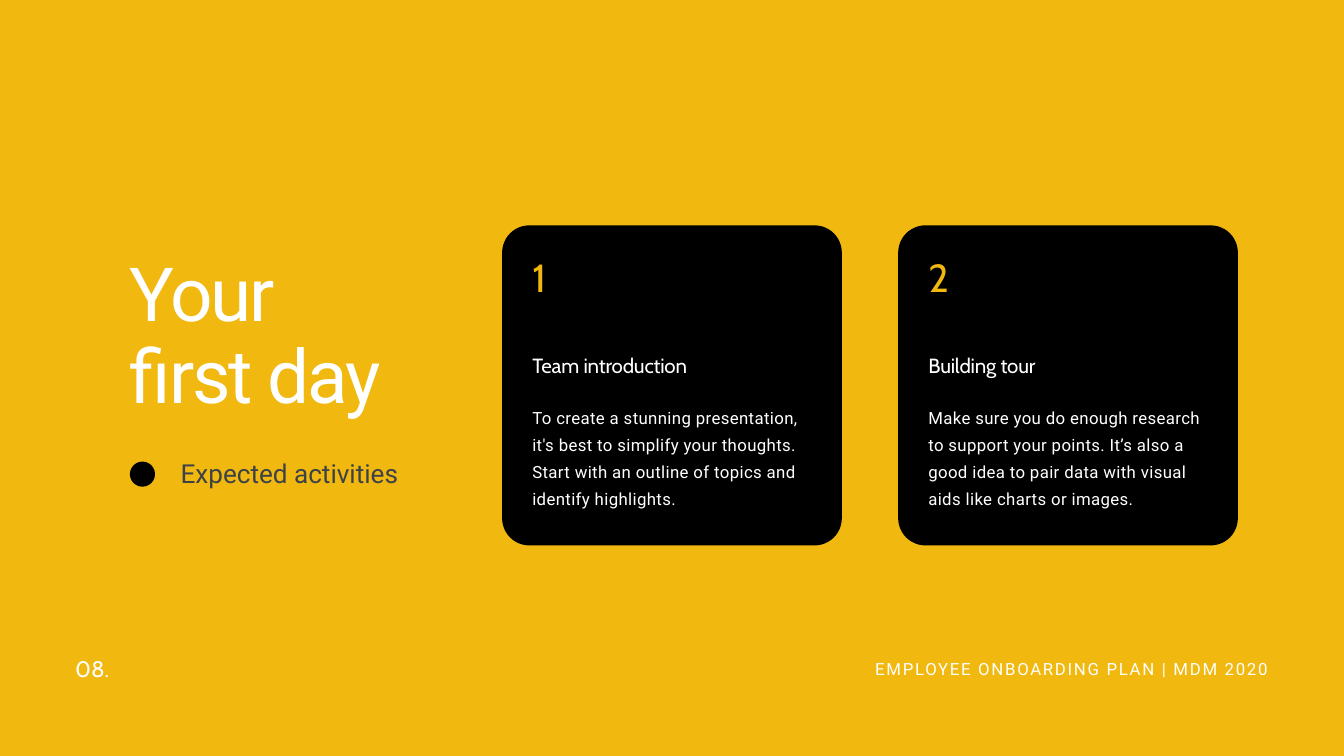
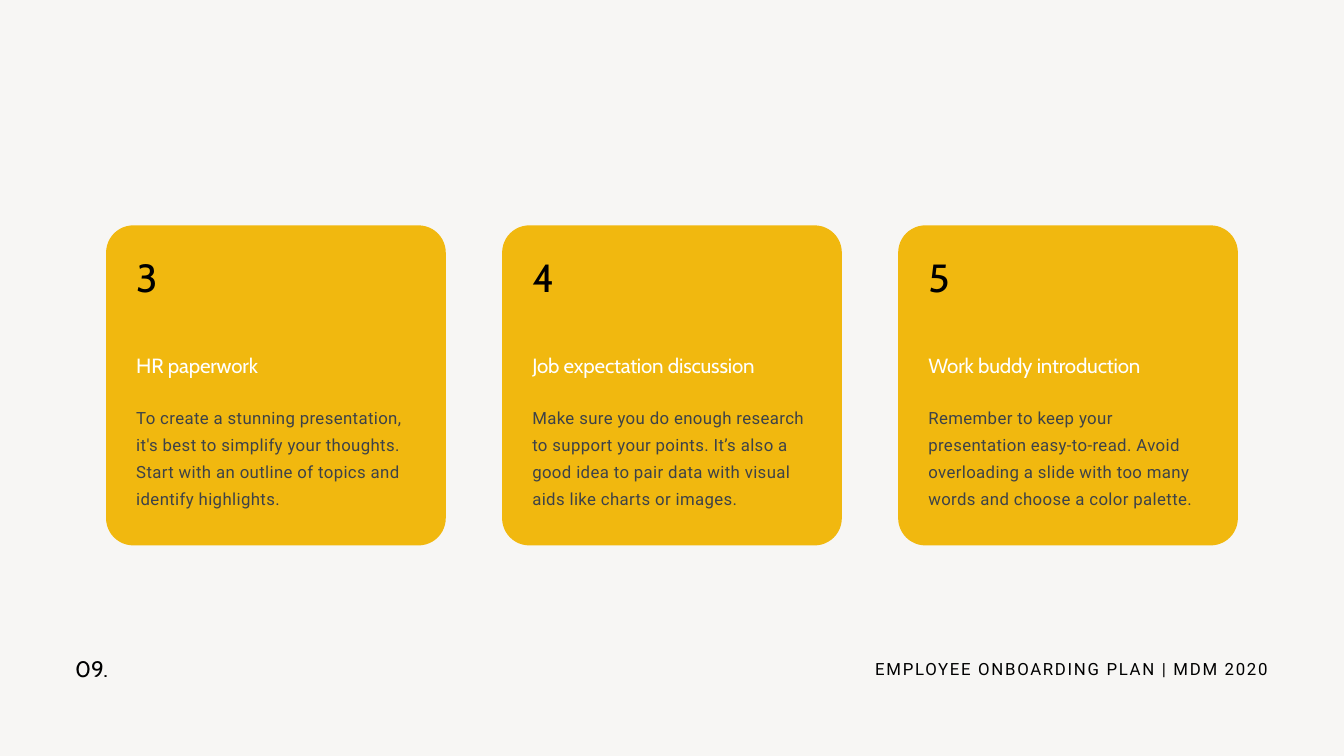
from pptx import Presentation
from pptx.dml.color import RGBColor
from pptx.enum.shapes import MSO_SHAPE as SHAPE
from pptx.enum.text import MSO_AUTO_SIZE as AUTO, PP_ALIGN as ALIGN
from pptx.util import Cm, Pt

COLORS = {
    "yellow": "F1B80F",
    "paper": "F7F6F4",
    "black": "000000",
    "white": "FFFFFF",
    "slate": "3D4248",
}
HEAD_FONT, BODY_FONT = "Cabin", "Roboto"
FOOTER = "EMPLOYEE ONBOARDING PLAN | MDM 2020"

SIMPLIFY = (
    "To create a stunning presentation, it's best to simplify your thoughts. "
    "Start with an outline of topics and identify highlights."
)
RESEARCH = (
    "Make sure you do enough research to support your points. It’s also a "
    "good idea to pair data with visual aids like charts or images."
)
READABLE = (
    "Remember to keep your presentation easy-to-read. Avoid overloading a "
    "slide with too many words and choose a color palette."
)

SLIDES = [
    {
        "page": "08.",
        "title": ["Your", "first day"],
        "subtitle": "Expected activities",
        "first_column": 1,
        "cards": [
            ("1", "Team introduction", SIMPLIFY),
            ("2", "Building tour", RESEARCH),
        ],
        "colors": {"back": "yellow", "card": "black", "number": "yellow",
                   "body": "white", "footer": "white"},
    },
    {
        "page": "09.",
        "first_column": 0,
        "cards": [
            ("3", "HR paperwork", SIMPLIFY),
            ("4", "Job expectation discussion", RESEARCH),
            ("5", "Work buddy introduction", READABLE),
        ],
        "colors": {"back": "paper", "card": "yellow", "number": "black",
                   "body": "slate", "footer": "black"},
    },
]

CARD_LEFT, CARD_TOP, CARD_W, CARD_H = 4.01, 8.52, 12.84, 12.1
CARD_PITCH, CARD_PAD = 14.97, 1.14
CARD_RADIUS = 1.03
TITLE_LEFT = 4.91


def rgb(name):
    return RGBColor.from_string(COLORS[name])


def add_text(shapes, lines, left, top, width, height, *, size, leading,
             color, font=BODY_FONT, spacing=0, align=ALIGN.LEFT):
    sp = shapes.add_textbox(Cm(left), Cm(top), Cm(width), Cm(height))
    tf = sp.text_frame
    tf.word_wrap = True
    tf.auto_size = AUTO.SHAPE_TO_FIT_TEXT
    tf.margin_left = tf.margin_top = tf.margin_right = tf.margin_bottom = 0
    for i, line in enumerate([lines] if isinstance(lines, str) else lines):
        p = tf.add_paragraph() if i else tf.paragraphs[0]
        p.alignment = align
        p.line_spacing = Pt(leading)
        r = p.add_run()
        r.text = line
        r.font.name = font
        r.font.size = Pt(size)
        r.font.color.rgb = rgb(color)
        if spacing:
            r._r.get_or_add_rPr().set("spc", str(round(spacing * 100)))


def add_filled(shapes, kind, left, top, width, height, color):
    sp = shapes.add_shape(kind, Cm(left), Cm(top), Cm(width), Cm(height))
    sp.shadow.inherit = False
    sp.fill.solid()
    sp.fill.fore_color.rgb = rgb(color)
    sp.line.fill.background()
    return sp


def add_card(slide, column, card, colors):
    number, heading, body = card
    left = CARD_LEFT + column * CARD_PITCH
    text_left, text_w = left + CARD_PAD, CARD_W - 2 * CARD_PAD
    shapes = slide.shapes.add_group_shape().shapes
    sp = add_filled(shapes, SHAPE.ROUNDED_RECTANGLE, left, CARD_TOP,
                    CARD_W, CARD_H, colors["card"])
    sp.adjustments[0] = CARD_RADIUS / CARD_H
    add_text(shapes, number, text_left, 9.27, 2.13, 1.93, size=42,
             leading=58.8, color=colors["number"], font=HEAD_FONT, spacing=-0.4)
    add_text(shapes, heading, text_left, 13.2, text_w, 1.02, size=22,
             leading=30.8, color="white", font=HEAD_FONT, spacing=-0.2)
    add_text(shapes, body, text_left, 15.16, text_w, 3.91, size=18,
             leading=28.8, color=colors["body"], spacing=0.4)


def add_title(slide, title, subtitle):
    shapes = slide.shapes.add_group_shape().shapes
    add_text(shapes, title, TITLE_LEFT, 9.6, 11.53, 6.32, size=80,
             leading=88, color="white", spacing=-2.4)
    add_text(shapes, subtitle, TITLE_LEFT + 1.92, 17.09, 9.61, 1.3, size=28,
             leading=39.2, color="slate")
    add_filled(shapes, SHAPE.OVAL, TITLE_LEFT, 17.45, 0.95, 0.95, "black")


def add_footer(slide, page, color):
    add_text(slide.shapes, page, 2.84, 24.59, 12.19, 1.12, size=24,
             leading=33.6, color=color, font=HEAD_FONT)
    add_text(slide.shapes, FOOTER, 28.37, 24.77, 19.56, 0.86, size=18,
             leading=25.2, color=color, spacing=1.8, align=ALIGN.RIGHT)


def main():
    prs = Presentation()
    prs.slide_width, prs.slide_height = Cm(50.8), Cm(28.58)
    for content in SLIDES:
        colors = content["colors"]
        slide = prs.slides.add_slide(prs.slide_layouts[6])
        slide.background.fill.solid()
        slide.background.fill.fore_color.rgb = rgb(colors["back"])
        for column, card in enumerate(content["cards"], content["first_column"]):
            add_card(slide, column, card, colors)
        if "title" in content:
            add_title(slide, content["title"], content["subtitle"])
        add_footer(slide, content["page"], colors["footer"])
    prs.save("out.pptx")


if __name__ == "__main__":
    main()
